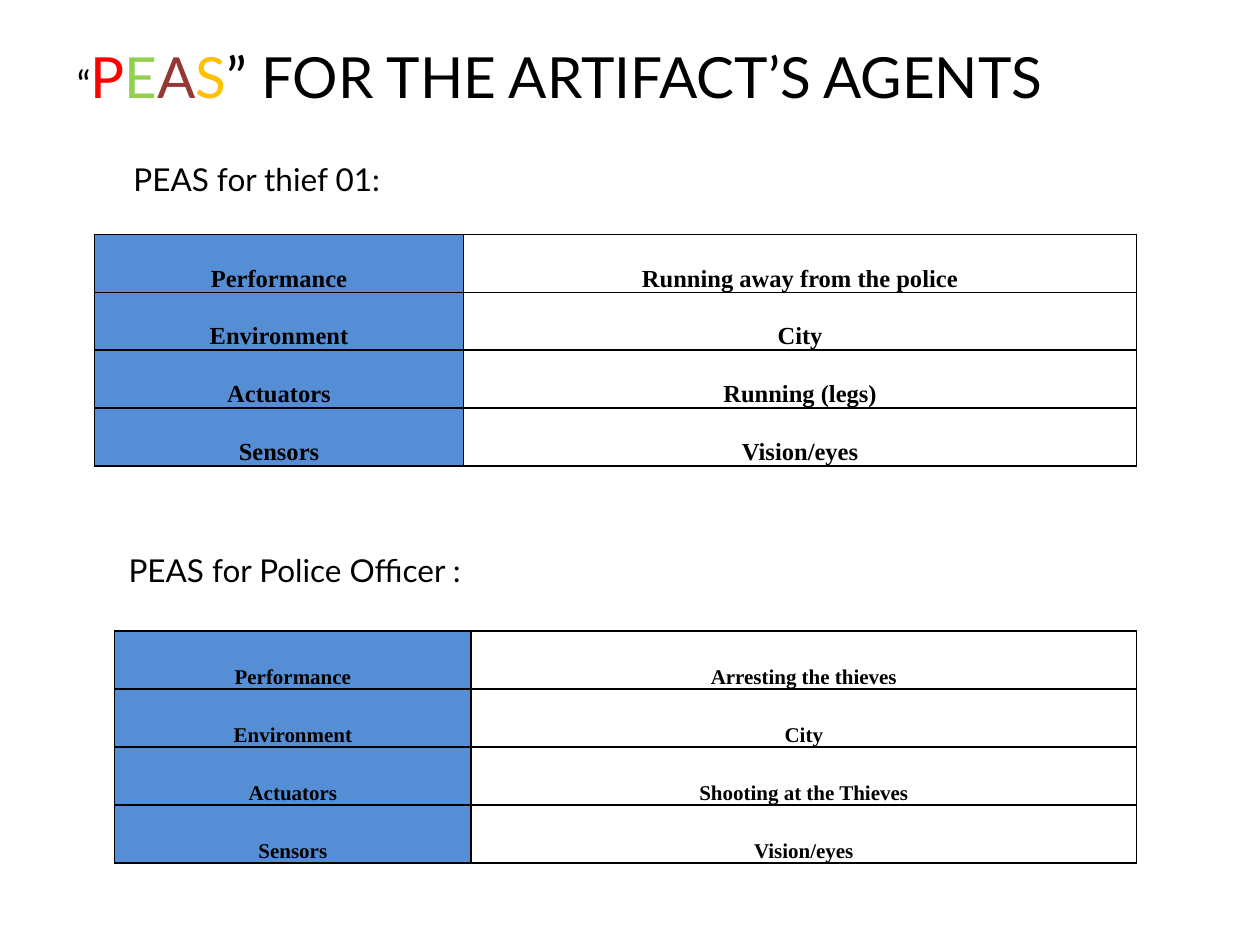
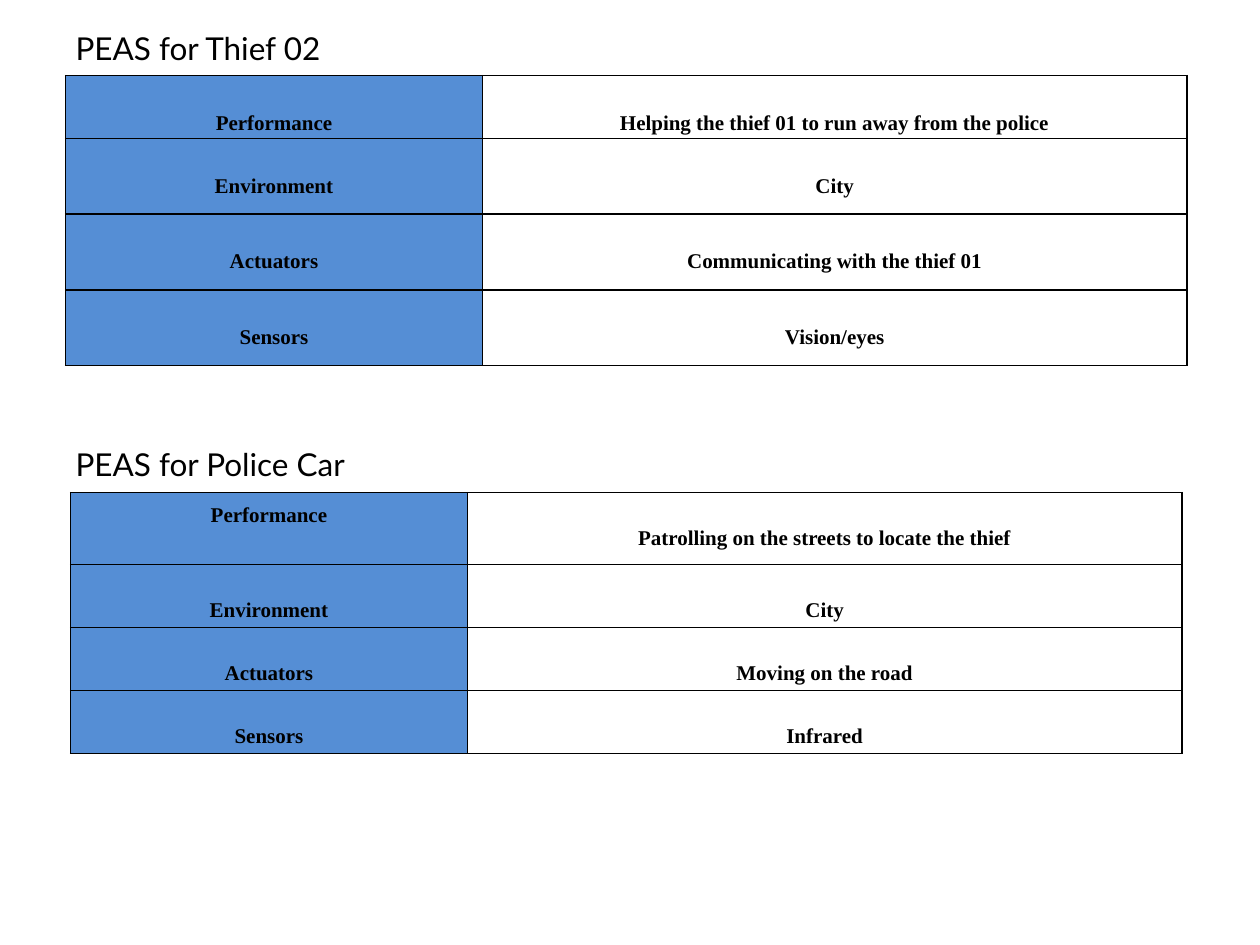
from dataclasses import dataclass

from lxml.etree import SubElement
from pptx import Presentation
from pptx.dml.color import RGBColor
from pptx.enum.text import MSO_ANCHOR, PP_ALIGN
from pptx.oxml.ns import qn
from pptx.util import Inches, Pt


@dataclass(frozen=True)
class Theme:
    ink: str = "000000"
    label_fill: str = "558ED5"
    heading_font: str = "Lato"
    table_font: str = "Times New Roman"
    quote_size: float = 21.6
    title_size: float = 32.4
    caption_size: float = 18
    border: float = 1
    cell_inset: float = 0.07


THEME = Theme()
SLIDE_SIZE = (10, 7.5)
TITLE_AT = (0.61, 0.6)
ASPECTS = ["Performance", "Environment", "Actuators", "Sensors"]
TITLE = [
    ("“", THEME.quote_size, THEME.ink),
    ("P", THEME.title_size, "FF0000"),
    ("E", THEME.title_size, "92D050"),
    ("A", THEME.title_size, "953735"),
    ("S", THEME.title_size, "FFC000"),
    ("” FOR THE ARTIFACT’S AGENTS", THEME.title_size, THEME.ink),
]

# "lifts" raises the label and the answer of each row above its bottom edge.
FLAT = [(0, 0)] * 4
SLIDES = [
    {
        "title": TITLE,
        "agents": [
            {
                "caption": "PEAS for thief 01:", "caption_at": (1.06, 1.42),
                "answers": ["Running away from the police", "City",
                            "Running (legs)", "Vision/eyes"],
                "at": (0.75, 1.86), "columns": (2.93, 5.34),
                "rows": [0.46] * 4, "lifts": FLAT, "size": 14,
            },
            {
                "caption": "PEAS for Police Officer :", "caption_at": (1.02, 4.52),
                "answers": ["Arresting the thieves", "City",
                            "Shooting at the Thieves", "Vision/eyes"],
                "at": (0.91, 5.01), "columns": (2.83, 5.28),
                "rows": [0.46] * 4, "lifts": FLAT, "size": 12,
            },
        ],
    },
    {
        "title": [],
        "agents": [
            {
                "caption": "PEAS for Thief 02", "caption_at": (0.6, 0.38),
                "answers": ["Helping the thief 01 to run away from the police", "City",
                            "Communicating with the thief 01", "Vision/eyes"],
                "at": (0.52, 0.6), "columns": (3.31, 5.59),
                "rows": [0.5] + [0.6] * 3,
                "lifts": [(0.03, 0.03)] + [(0.13, 0.13)] * 3, "size": 12,
            },
            {
                "caption": "PEAS for Police Car", "caption_at": (0.6, 3.68),
                "answers": ["Patrolling on the streets to locate the thief", "City",
                            "Moving on the road", "Infrared"],
                "at": (0.56, 3.91), "columns": (3.15, 5.67),
                "rows": [0.57] + [0.5] * 3,
                "lifts": [(0.3, 0.11)] + [(0.04, 0.04)] * 3, "size": 12,
            },
        ],
    },
]


def add_heading(slide, at, pieces):
    left, middle = at
    height = 2 * max(size for _, size, _ in pieces) / 72
    heading = slide.shapes.add_textbox(
        Inches(left), Inches(middle - height / 2),
        Inches(SLIDE_SIZE[0] - left - 0.5), Inches(height))
    frame = heading.text_frame
    frame.word_wrap = True
    frame.vertical_anchor = MSO_ANCHOR.MIDDLE
    frame.margin_left = frame.margin_right = frame.margin_top = frame.margin_bottom = 0
    line = frame.paragraphs[0]
    line.font.name = THEME.heading_font
    for words, size, color in pieces:
        piece = line.add_run()
        piece.text = words
        piece.font.size = Pt(size)
        piece.font.color.rgb = RGBColor.from_string(color)


def add_borders(cell):
    properties = cell._tc.get_or_add_tcPr()
    for side in ("a:lnL", "a:lnR", "a:lnT", "a:lnB"):
        edge = SubElement(properties, qn(side), w=str(Pt(THEME.border)))
        SubElement(SubElement(edge, qn("a:solidFill")), qn("a:srgbClr"), val=THEME.ink)


def fill_cell(cell, words, size, lift, is_label):
    add_borders(cell)
    if is_label:
        cell.fill.solid()
        cell.fill.fore_color.rgb = RGBColor.from_string(THEME.label_fill)
    else:
        cell.fill.background()
    cell.margin_left = cell.margin_right = Inches(THEME.cell_inset)
    cell.margin_top = 0
    cell.margin_bottom = Inches(lift)
    cell.vertical_anchor = MSO_ANCHOR.BOTTOM
    cell.text = words
    line = cell.text_frame.paragraphs[0]
    line.alignment = PP_ALIGN.CENTER
    line.font.name = THEME.table_font
    line.font.size = Pt(size)
    line.font.bold = True
    line.font.color.rgb = RGBColor.from_string(THEME.ink)


def add_agent(slide, agent):
    add_heading(slide, agent["caption_at"],
                [(agent["caption"], THEME.caption_size, THEME.ink)])
    left, top = agent["at"]
    peas = slide.shapes.add_table(
        len(ASPECTS), 2, Inches(left), Inches(top),
        Inches(sum(agent["columns"])), Inches(sum(agent["rows"]))).table
    peas.first_row = peas.horz_banding = False
    for column, width in zip(peas.columns, agent["columns"]):
        column.width = Inches(width)
    for row, height, lifts, pair in zip(
            peas.rows, agent["rows"], agent["lifts"], zip(ASPECTS, agent["answers"])):
        row.height = Inches(height)
        for index, (cell, words, lift) in enumerate(zip(row.cells, pair, lifts)):
            fill_cell(cell, words, agent["size"], lift, index == 0)


def main():
    deck = Presentation()
    deck.slide_width, deck.slide_height = map(Inches, SLIDE_SIZE)
    for content in SLIDES:
        slide = deck.slides.add_slide(deck.slide_layouts[6])
        if content["title"]:
            add_heading(slide, TITLE_AT, content["title"])
        for agent in content["agents"]:
            add_agent(slide, agent)
    deck.save("out.pptx")


if __name__ == "__main__":
    main()
